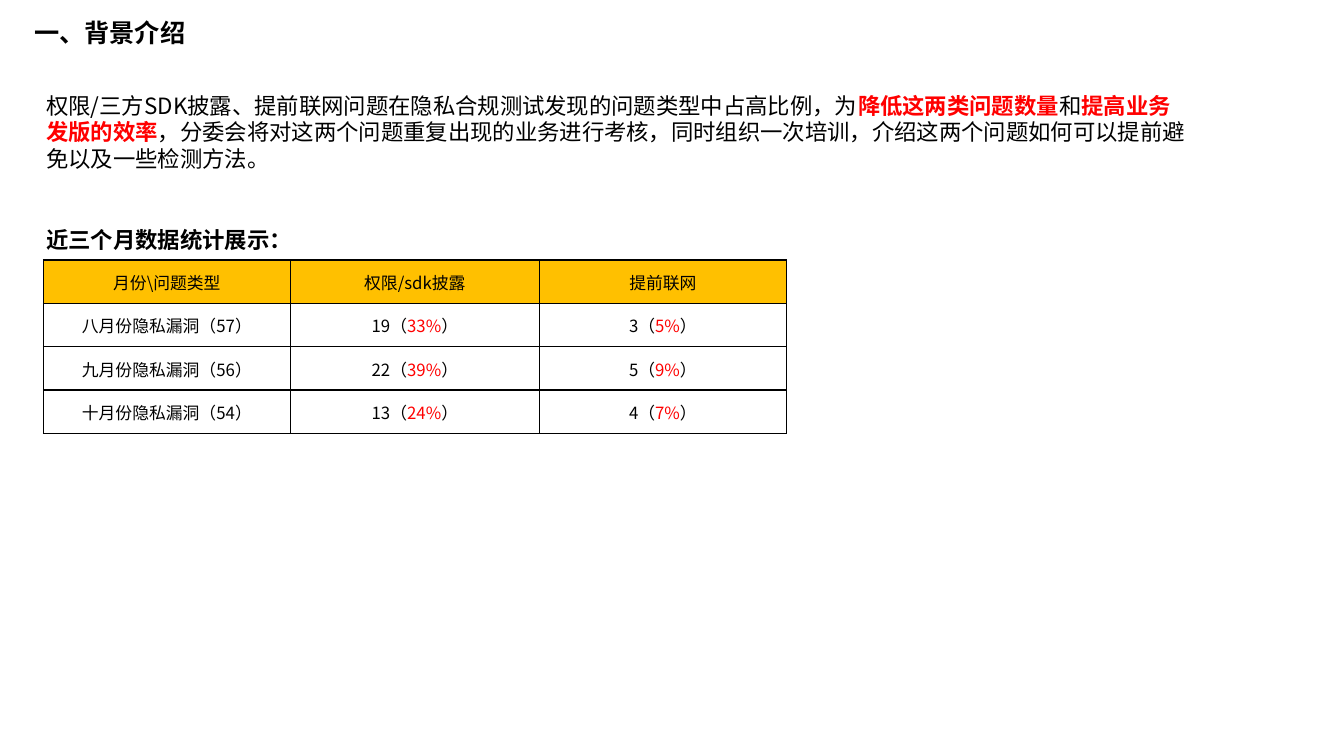
from lxml.etree import SubElement
from pptx import Presentation
from pptx.dml.color import RGBColor
from pptx.enum.text import MSO_AUTO_SIZE as AutoSize, MSO_VERTICAL_ANCHOR as Anchor, PP_ALIGN as Align
from pptx.oxml.ns import qn
from pptx.util import Inches, Pt

THEME = {
    "font": "Noto Sans CJK SC",
    "text": RGBColor(0x00, 0x00, 0x00),
    "accent": RGBColor(0xFF, 0x00, 0x00),
    "header": RGBColor(0xFF, 0xC0, 0x00),
    "border": "000000",
    "title_size": 18,
    "body_size": 16,
    "table_size": 12,
    "leading": 1.2,
}


def add_runs(paragraph, runs, size):
    for text, color, bold in runs:
        run = paragraph.add_run()
        run.text = text
        run.font.color.rgb = THEME[color]
        font_format = {"name": THEME["font"], "size": Pt(size), "bold": bold}
        for name, value in font_format.items():
            setattr(run.font, name, value)
        SubElement(run.font._element, qn("a:ea"), typeface=THEME["font"])


def add_text(slide, bounds, paragraphs, size):
    shape = slide.shapes.add_textbox(*[Inches(value) for value in bounds])
    frame = shape.text_frame
    frame.word_wrap = True
    frame.auto_size = AutoSize.SHAPE_TO_FIT_TEXT
    for index, (runs, lines_before) in enumerate(paragraphs):
        paragraph = frame.add_paragraph() if index else frame.paragraphs[0]
        paragraph.line_spacing = Pt(size * THEME["leading"])
        paragraph.space_before = Pt(size * THEME["leading"] * lines_before)
        add_runs(paragraph, runs, size)


presentation = Presentation()
presentation.slide_width = Inches(13.33)
presentation.slide_height = Inches(7.5)
slide = presentation.slides.add_slide(presentation.slide_layouts[6])

add_text(slide, (0.24, 0.12, 11.12, 0.4), [([("一、背景介绍", "text", True)], 0)], THEME["title_size"])

background = [
    ("权限/三方SDK披露、提前联网问题在隐私合规测试发现的问题类型中占高比例，为", "text", False),
    ("降低这两类问题数量", "accent", True),
    ("和", "text", False),
    ("提高业务发版的效率", "accent", True),
    ("，分委会将对这两个问题重复出现的业务进行考核，同时组织一次培训，"
     "介绍这两个问题如何可以提前避免以及一些检测方法。", "text", False),
]
table_heading = [("近三个月数据统计展示：", "text", True)]
add_text(slide, (0.36, 0.86, 11.52, 1.72), [(background, 0), (table_heading, 2)], THEME["body_size"])

headers = ["月份\\问题类型", "权限/sdk披露", "提前联网"]
months = [
    ("八月份隐私漏洞（57）", (19, "33%"), (3, "5%")),
    ("九月份隐私漏洞（56）", (22, "39%"), (5, "9%")),
    ("十月份隐私漏洞（54）", (13, "24%"), (4, "7%")),
]
rows = [[[(header, "text", False)] for header in headers]]
for month, *counts in months:
    rows.append([[(month, "text", False)]] + [
        [(f"{count}（", "text", False), (share, "accent", False), ("）", "text", False)]
        for count, share in counts
    ])

column_widths = [2.45, 2.47, 2.45]
row_height = 0.43
frame = slide.shapes.add_table(
    len(rows), len(headers), Inches(0.43), Inches(2.58),
    Inches(sum(column_widths)), Inches(row_height * len(rows)),
)
table = frame.table
for column, width in zip(table.columns, column_widths):
    column.width = Inches(width)

cell_format = {
    "vertical_anchor": Anchor.MIDDLE,
    "margin_left": Inches(0.01),
    "margin_right": Inches(0.01),
    "margin_top": Inches(0.01),
    "margin_bottom": Inches(0),
}
for row_index, row in enumerate(rows):
    table.rows[row_index].height = Inches(row_height)
    for column_index, runs in enumerate(row):
        cell = table.cell(row_index, column_index)
        for name, value in cell_format.items():
            setattr(cell, name, value)
        properties = cell._tc.get_or_add_tcPr()
        for side in ("lnL", "lnR", "lnT", "lnB"):
            line = SubElement(properties, qn(f"a:{side}"), w=str(Pt(1)))
            fill = SubElement(line, qn("a:solidFill"))
            SubElement(fill, qn("a:srgbClr"), val=THEME["border"])
        if row_index == 0:
            cell.fill.solid()
            cell.fill.fore_color.rgb = THEME["header"]
        else:
            cell.fill.background()
        paragraph = cell.text_frame.paragraphs[0]
        paragraph.alignment = Align.CENTER
        add_runs(paragraph, runs, THEME["table_size"])

presentation.save("out.pptx")
